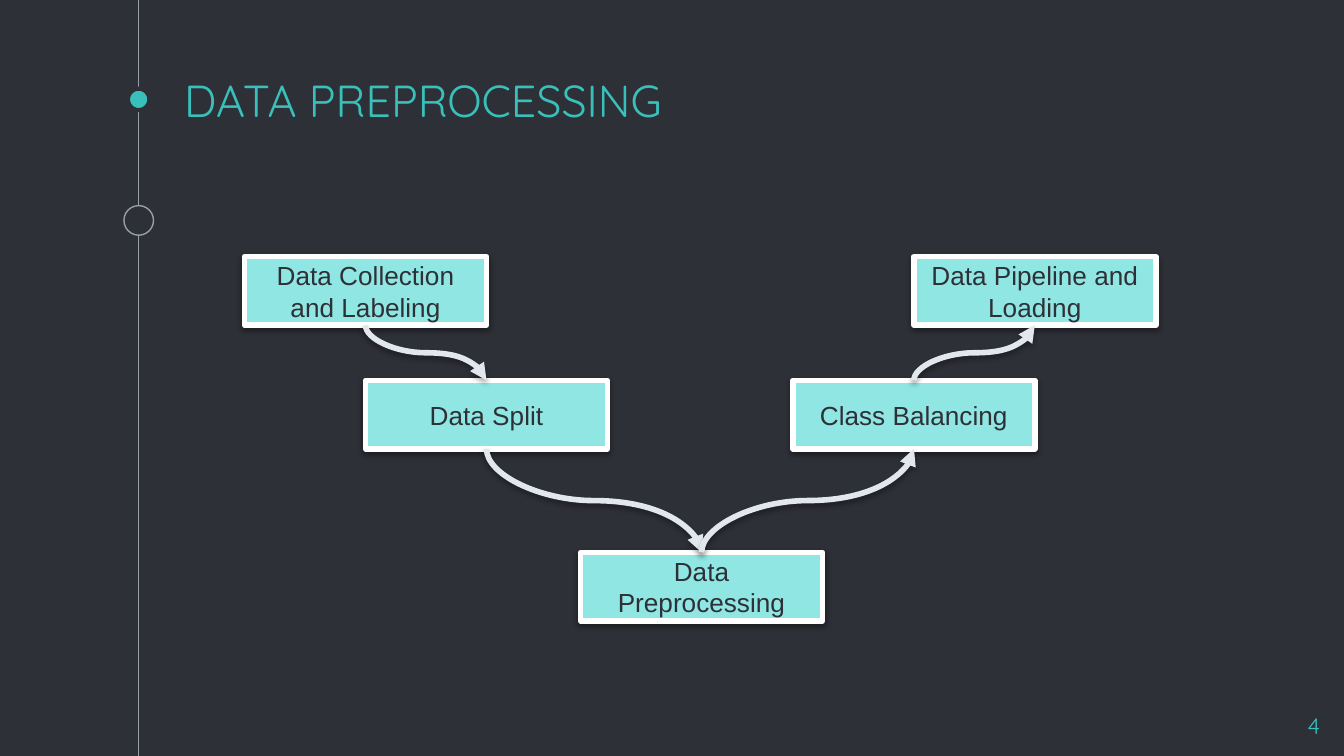
from dataclasses import dataclass
from itertools import pairwise

from lxml import etree
from pptx import Presentation
from pptx.dml.color import RGBColor
from pptx.enum.shapes import MSO_CONNECTOR, MSO_SHAPE
from pptx.enum.text import MSO_ANCHOR, MSO_AUTO_SIZE, PP_ALIGN
from pptx.oxml.ns import qn
from pptx.util import Inches, Pt

RECT, OVAL = MSO_SHAPE.RECTANGLE, MSO_SHAPE.OVAL
LINE, CURVE = MSO_CONNECTOR.STRAIGHT, MSO_CONNECTOR.CURVE
TOP, MIDDLE, BOTTOM = MSO_ANCHOR.TOP, MSO_ANCHOR.MIDDLE, MSO_ANCHOR.BOTTOM
LEFT, CENTER, RIGHT = PP_ALIGN.LEFT, PP_ALIGN.CENTER, PP_ALIGN.RIGHT
NO_FIT = MSO_AUTO_SIZE.NONE
TITLE_ONLY = 5
TOP_SITE, BOTTOM_SITE = 0, 2
COLS, ROWS = 100, 56.25


@dataclass(frozen=True)
class Theme:
    back: str = "2E3037"
    accent: str = "39C0BA"
    box: str = "90E6E2"
    edge: str = "FFFFFF"
    rail: str = "999FA9"
    arrow: str = "E2E7EE"
    shade: str = "000000"
    head_font: str = "Quicksand"
    body_font: str = "Arial"
    head_size: int = 24
    body_size: int = 14
    page_size: int = 12
    thin: float = 0.75
    ring: float = 2.25
    thick: int = 3


def grid(*cells):
    return [Inches(cell / 10) for cell in cells]


def color(code):
    return RGBColor.from_string(code)


class Deck:
    def __init__(self, theme):
        self.theme = theme
        self.show = Presentation()
        self.show.slide_width, self.show.slide_height = grid(COLS, ROWS)
        self.slide = self.show.slides.add_slide(
            self.show.slide_layouts[TITLE_ONLY])
        fill = self.slide.background.fill
        fill.solid()
        fill.fore_color.rgb = color(theme.back)

    def label(self, shape, text, font, size, tint, align, anchor):
        frame = shape.text_frame
        frame.text = text
        frame.word_wrap = True
        frame.auto_size = NO_FIT
        frame.vertical_anchor = anchor
        para = frame.paragraphs[0]
        para.alignment = align
        style = para.runs[0].font
        style.name, style.size = font, Pt(size)
        style.color.rgb = color(tint)

    def pad(self, shape):
        frame = shape.text_frame
        frame.margin_top = frame.margin_bottom = Inches(0.1)
        frame.margin_left = frame.margin_right = Inches(0.1)

    def stroke(self, shape, tint, width):
        shape.line.color.rgb = color(tint)
        shape.line.width = Pt(width)

    def shadow(self, shape, alpha, dist):
        props = shape._element.spPr
        effects = props.find(qn("a:effectLst"))
        if effects is None:
            effects = etree.SubElement(props, qn("a:effectLst"))
        if alpha:
            outer = etree.SubElement(
                effects, qn("a:outerShdw"), blurRad=str(Pt(3.1)),
                dist=str(Pt(dist)), dir="5400000", rotWithShape="0")
            tint = etree.SubElement(
                outer, qn("a:srgbClr"), val=self.theme.shade)
            etree.SubElement(tint, qn("a:alpha"), val=str(alpha * 1000))

    def title(self, text, *place):
        look, shape = self.theme, self.slide.shapes.title
        shape.left, shape.top, shape.width, shape.height = grid(*place)
        self.label(shape, text, look.head_font, look.head_size,
                   look.accent, LEFT, BOTTOM)
        self.pad(shape)

    def page(self, text, *place):
        look = self.theme
        shape = self.slide.shapes.add_textbox(*grid(*place))
        self.label(shape, text, look.head_font, look.page_size,
                   look.accent, RIGHT, TOP)
        self.pad(shape)

    def shape(self, kind, place, fill, edge, width):
        shape = self.slide.shapes.add_shape(kind, *grid(*place))
        shape.shadow.inherit = False
        shape.fill.solid()
        shape.fill.fore_color.rgb = color(fill)
        self.stroke(shape, edge, width)
        return shape

    def rail(self, col):
        line = self.slide.shapes.add_connector(
            LINE, *grid(col, 0, col, ROWS))
        self.stroke(line, self.theme.rail, self.theme.thin)
        self.shadow(line, 0, 0)

    def dot(self, col, row, size, fill, edge, width):
        place = col - size / 2, row - size / 2, size, size
        self.shape(OVAL, place, fill, edge, width)

    def box(self, text, col, row):
        look = self.theme
        shape = self.shape(RECT, (col, row, 18, 5.1),
                           look.box, look.edge, look.thick)
        etree.SubElement(shape._element.spPr.find(qn("a:ln")), qn("a:round"))
        self.shadow(shape, 38, 1.6)
        self.label(shape, text, look.body_font, look.body_size,
                   look.back, CENTER, MIDDLE)
        return shape

    def arrow(self, start, end, out, into):
        line = self.slide.shapes.add_connector(CURVE, 0, 0, 0, 0)
        line.begin_connect(start, out)
        line.end_connect(end, into)
        wide, high = line.width, line.height
        rising = line.end_y < line.begin_y
        mid_x = line.left + wide // 2
        mid_y = line.top + high // 2
        line.left, line.top = mid_x - high // 2, mid_y - wide // 2
        line.width, line.height = high, wide
        frame = line._element.spPr.find(qn("a:xfrm"))
        frame.set("rot", str((90 if rising else 270) * 60000))
        frame.set("flipH", "1")
        frame.set("flipV", "1" if rising else "0")
        self.stroke(line, self.theme.arrow, self.theme.thick)
        etree.SubElement(line._element.spPr.find(qn("a:ln")),
                         qn("a:tailEnd"), type="triangle")
        self.shadow(line, 35, 1.8)


def main():
    look = Theme()
    deck = Deck(look)
    rail = 10.32
    deck.rail(rail)
    deck.dot(rail, 7.4, 1.6, look.accent, look.back, look.ring)
    deck.dot(rail, 16.4, 2.2, look.back, look.rail, look.thin)
    deck.title("DATA PREPROCESSING", 12.7, 6.6, 75, 3.8)
    deck.page("4", 93.2, 52, 6, 3.4)

    high, mid, low = 19.1, 28.3, 41.1
    steps = [
        ("Data Collection and Labeling", 18.2, high),
        ("Data Split", 27.2, mid),
        ("Data Preprocessing", 43.2, low),
        ("Class Balancing", 59, mid),
        ("Data Pipeline and Loading", 68, high),
    ]
    boxes = [deck.box(*step) for step in steps]
    for start, end in pairwise(boxes):
        falls = end.top > start.top
        sites = (BOTTOM_SITE, TOP_SITE) if falls else (TOP_SITE, BOTTOM_SITE)
        deck.arrow(start, end, *sites)
    deck.show.save("out.pptx")


if __name__ == "__main__":
    main()
